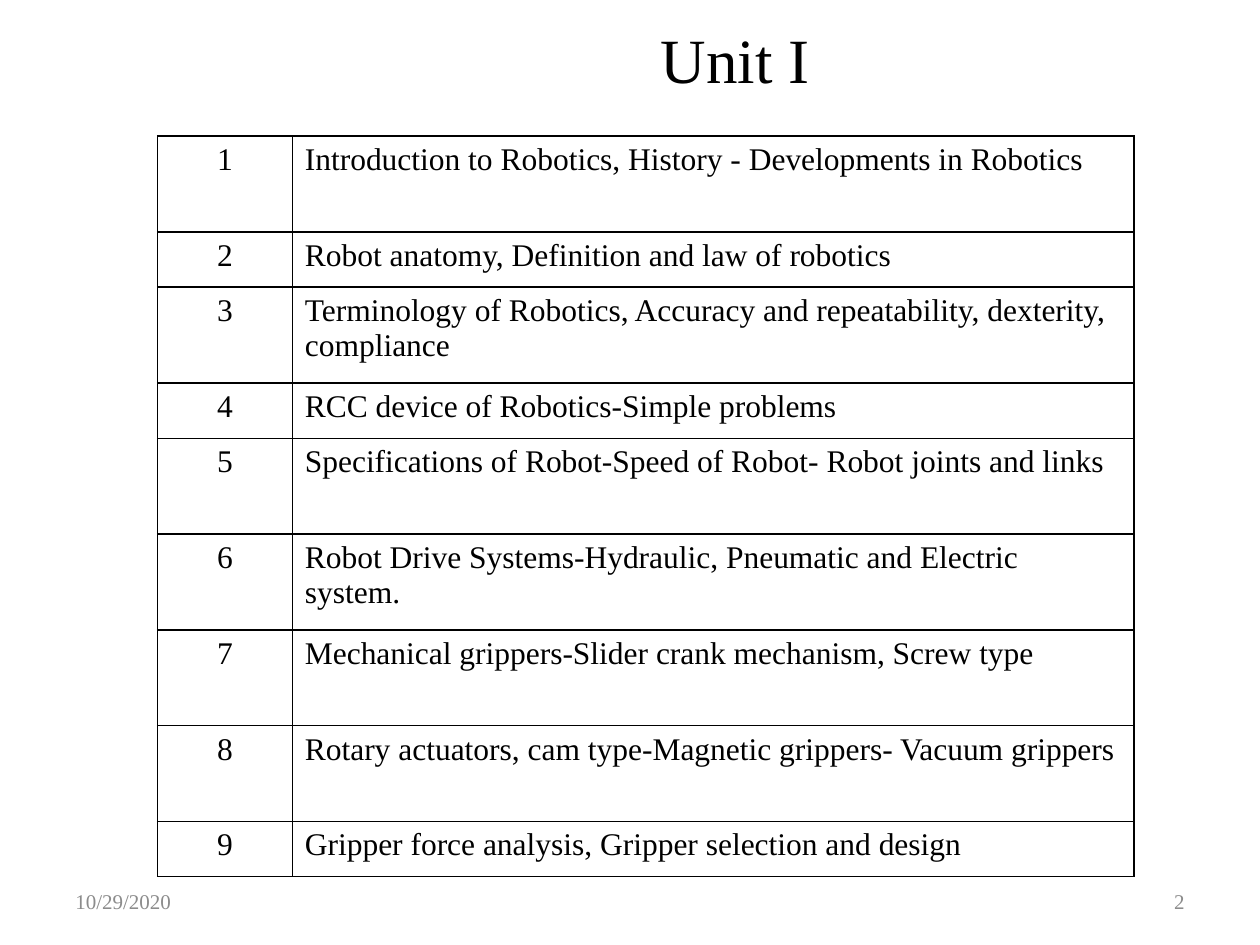
from dataclasses import dataclass

from lxml import etree
from pptx import Presentation
from pptx.dml.color import RGBColor
from pptx.enum.text import MSO_ANCHOR, PP_ALIGN
from pptx.oxml.ns import qn
from pptx.util import Inches, Pt

LEFT, CENTER, RIGHT = PP_ALIGN.LEFT, PP_ALIGN.CENTER, PP_ALIGN.RIGHT
TOP, MIDDLE = MSO_ANCHOR.TOP, MSO_ANCHOR.MIDDLE
BLANK_LAYOUT = 6


@dataclass(frozen=True)
class Theme:
    font: str = "Times New Roman"
    ink: str = "000000"
    muted: str = "8C8C8C"
    title_size: int = 36
    body_size: int = 18
    footer_size: int = 12
    border_width: int = 1


THEME = Theme()
PAGE_WIDTH, PAGE_HEIGHT = 10, 7.5
NUMBER_COLUMN = 1.07
TALL_ROW, SHORT_ROW = 0.76, 0.44

# Each topic with its row height
TOPICS = [
    ("Introduction to Robotics, History - Developments in Robotics", TALL_ROW),
    ("Robot anatomy, Definition and law of robotics", SHORT_ROW),
    ("Terminology of Robotics, Accuracy and repeatability, dexterity, compliance", TALL_ROW),
    ("RCC device of Robotics-Simple problems", SHORT_ROW),
    ("Specifications of Robot-Speed of Robot- Robot joints and links", TALL_ROW),
    ("Robot Drive Systems-Hydraulic, Pneumatic and Electric system.", TALL_ROW),
    ("Mechanical grippers-Slider crank mechanism, Screw type", TALL_ROW),
    ("Rotary actuators, cam type-Magnetic grippers- Vacuum grippers", TALL_ROW),
    ("Gripper force analysis, Gripper selection and design", SHORT_ROW),
]


def write_text(frame, text, size, color, align, anchor):
    """Fill a text frame with one formatted paragraph."""
    for name, value in {"word_wrap": True, "vertical_anchor": anchor}.items():
        setattr(frame, name, value)
    para = frame.paragraphs[0]
    para.alignment = align
    span = para.add_run()
    span.text = text
    for name, value in {"name": THEME.font, "size": Pt(size)}.items():
        setattr(span.font, name, value)
    span.font.color.rgb = RGBColor.from_string(color)


def add_label(page, area, text, size, color, align):
    """Place a vertically centred text box in the given area."""
    box = page.shapes.add_textbox(*map(Inches, area))
    write_text(box.text_frame, text, size, color, align, MIDDLE)


def set_borders(cell):
    """Draw a solid line on all four sides of a cell."""
    properties = cell._tc.get_or_add_tcPr()
    for position, side in enumerate(("lnL", "lnR", "lnT", "lnB")):
        line = etree.Element(qn(f"a:{side}"), w=str(Pt(THEME.border_width)))
        fill = etree.SubElement(line, qn("a:solidFill"))
        etree.SubElement(fill, qn("a:srgbClr"), val=THEME.ink)
        properties.insert(position, line)


def add_topic_table(page, area):
    """Place the numbered list of topics as a ruled table."""
    table = page.shapes.add_table(len(TOPICS), 2, *map(Inches, area)).table
    for name in ("first_row", "horz_banding"):
        setattr(table, name, False)
    widths = (NUMBER_COLUMN, area[2] - NUMBER_COLUMN)
    for column, width in zip(table.columns, widths):
        column.width = Inches(width)
    for number, (row, (topic, height)) in enumerate(zip(table.rows, TOPICS), 1):
        row.height = Inches(height)
        for cell, text, align in zip(row.cells, (str(number), topic), (CENTER, LEFT)):
            write_text(cell.text_frame, text, THEME.body_size, THEME.ink, align, TOP)
            cell.vertical_anchor = TOP
            cell.fill.background()
            set_borders(cell)


def add_footer(page, area):
    """Place the date at the left and the page number at the right."""
    left, top, width, height = area
    part = 2.33
    for text, start, align in (("10/29/2020", left, LEFT),
                               ("2", left + width - part, RIGHT)):
        add_label(page, (start, top, part, height), text,
                  THEME.footer_size, THEME.muted, align)


def main():
    deck = Presentation()
    deck.slide_width, deck.slide_height = Inches(PAGE_WIDTH), Inches(PAGE_HEIGHT)
    page = deck.slides.add_slide(deck.slide_layouts[BLANK_LAYOUT])

    # Title, table and footer from top to bottom
    add_label(page, (2.17, 0.17, 7.33, 0.58), "Unit I",
              THEME.title_size, THEME.ink, CENTER)
    add_topic_table(page, (1.25, 1.08, 7.75, sum(height for _, height in TOPICS)))
    add_footer(page, (0.5, 6.95, PAGE_WIDTH - 1, 0.4))
    deck.save("out.pptx")


if __name__ == "__main__":
    main()
